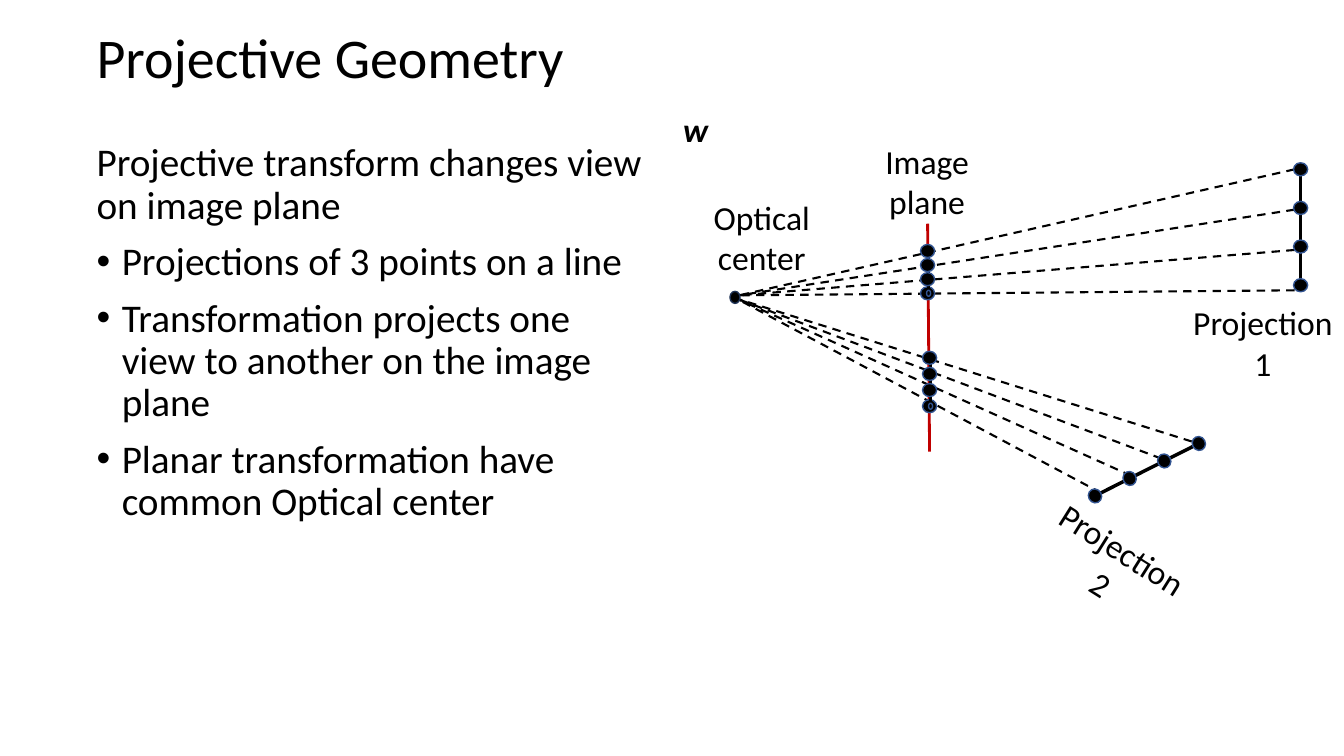
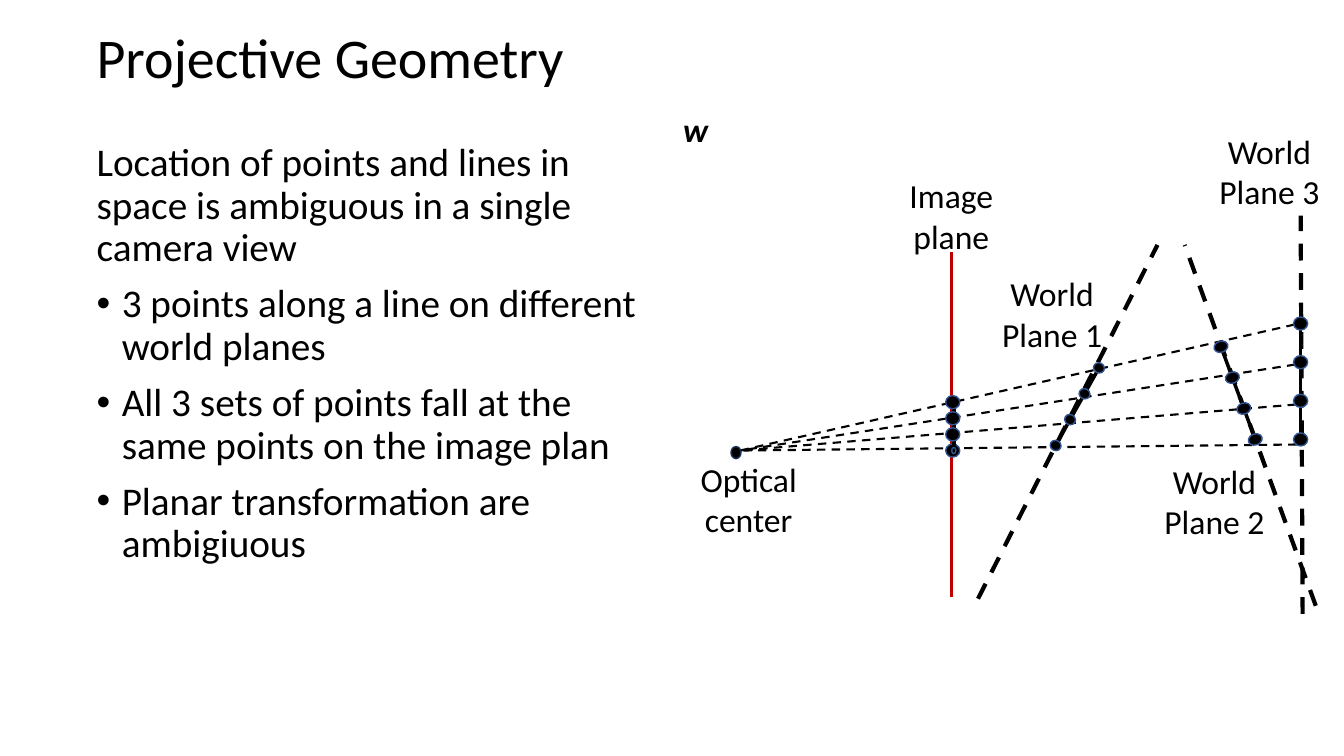
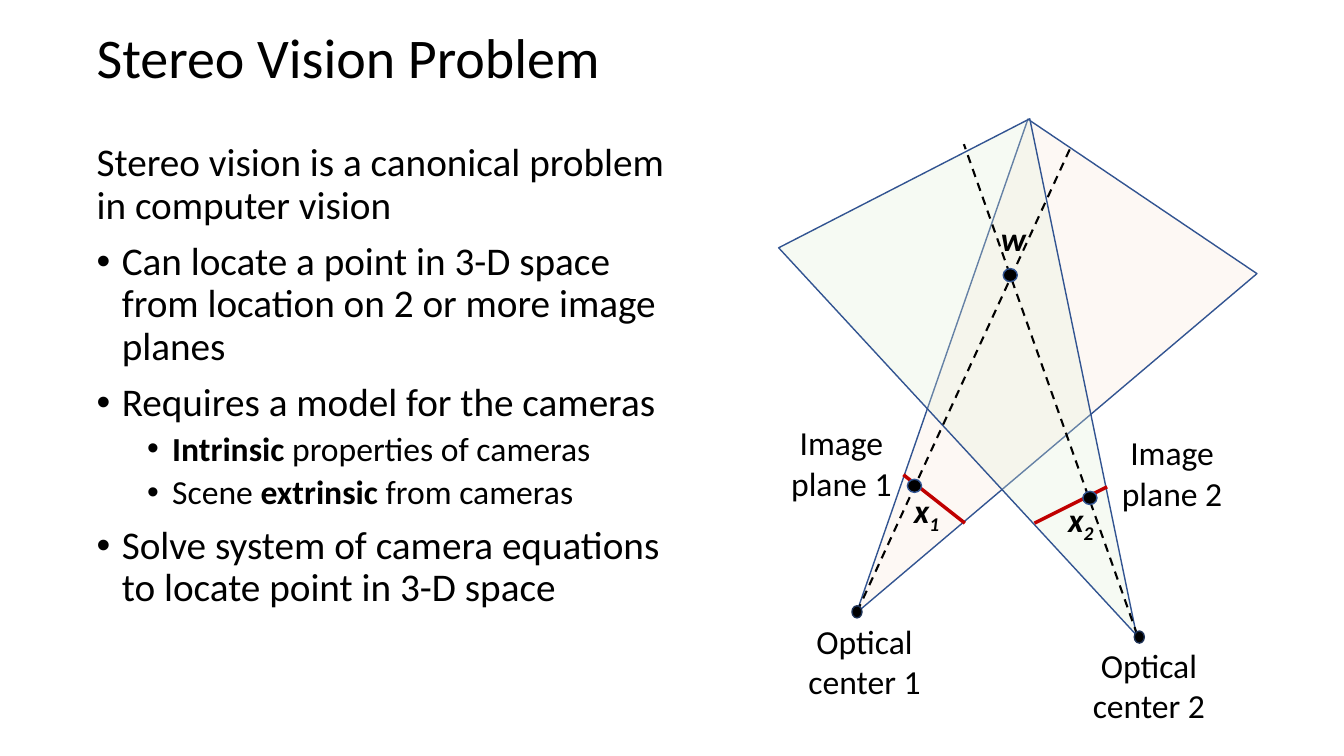
from lxml.etree import SubElement
from pptx import Presentation
from pptx.dml.color import RGBColor
from pptx.enum.dml import MSO_LINE
from pptx.enum.shapes import MSO_CONNECTOR, MSO_SHAPE
from pptx.enum.text import MSO_ANCHOR, PP_ALIGN
from pptx.oxml.ns import qn
from pptx.util import Inches, Pt

# Grid: 13.33 columns by 7.5 rows
COLUMNS, ROWS = 13.33, 7.5
CELL = Inches(1)

# Shared style
FONT = "Calibri"
BLACK = RGBColor(0x00, 0x00, 0x00)
RED = RGBColor(0xC0, 0x00, 0x00)
BLUE = RGBColor(0x32, 0x54, 0x91)
NAVY = RGBColor(0x1E, 0x32, 0x56)
PEACH = RGBColor(0xFB, 0xE5, 0xD6)
MINT = RGBColor(0xE2, 0xF0, 0xD9)
TITLE_BOX = (0.86, 0.12, 11.5, 0.95)
BODY_LEFT, BODY_TOP, BODY_HEIGHT = 0.86, 1.37, 5.69
DOT = (0.14, 0.13)
CENTER_DOT = (0.1, 0.12)
BEAD = (0.04, 0.06)
INTRO, BULLET, SUB_BULLET = range(3)


def cells(*lengths):
    return [round(length * CELL) for length in lengths]


def spread(first, last, count=4):
    """Evenly spaced points from first to last."""
    return [tuple(a + (b - a) * step / (count - 1) for a, b in zip(first, last))
            for step in range(count)]


# Text
def add_runs(para, text, *, size, bold=False, italic=False):
    """Asterisks enclose bold words; an underscore starts a subscript."""
    for number, piece in enumerate(text.split("*")):
        for depth, part in enumerate(piece.split("_")):
            if not part:
                continue
            span = para.add_run()
            span.text = part
            span.font.name, span.font.size = FONT, Pt(size)
            span.font.bold = bold or number % 2 == 1
            span.font.italic = italic
            span.font.color.rgb = BLACK
            if depth:
                span._r.get_or_add_rPr().set("baseline", "-25000")


def add_bullet(para, indent):
    properties = para._p.get_or_add_pPr()
    properties.set("marL", str(Inches(indent)))
    properties.set("indent", str(-Inches(0.25)))
    SubElement(properties, qn("a:buFont")).set("typeface", "Arial")
    SubElement(properties, qn("a:buChar")).set("char", "•")


def add_text(page, text, box, *, size=24, bold=False, italic=False, rotation=0,
             align=PP_ALIGN.CENTER, anchor=MSO_ANCHOR.TOP, spacing=None):
    """Text is a string, or a list of (level, line) pairs for a body."""
    shape = page.shapes.add_textbox(*cells(*box))
    shape.rotation = rotation
    frame = shape.text_frame
    frame.word_wrap = True
    frame.vertical_anchor = anchor
    lines = [(None, line) for line in text.split("\n")] if isinstance(text, str) else text
    for number, (level, line) in enumerate(lines):
        para = frame.add_paragraph() if number else frame.paragraphs[0]
        para.alignment = align
        if spacing:
            para.line_spacing = spacing
        if level is not None:
            para.space_before = Pt(5 if level == SUB_BULLET else 10)
        if level in (BULLET, SUB_BULLET):
            add_bullet(para, 0.75 if level == SUB_BULLET else 0.25)
        add_runs(para, line, size=24 if level == SUB_BULLET else size,
                 bold=bold, italic=italic)


def add_label(page, text, left, top, width=1.71, rotation=0):
    add_text(page, text, (left, top, width, 0.91), rotation=rotation)


def add_symbol(page, text, left, top):
    add_text(page, text, (left, top, 0.58, 0.5), bold=True, italic=True)


# Drawing
def add_line(page, start, end, width=1.5, color=BLACK, dashed=False):
    line = page.shapes.add_connector(MSO_CONNECTOR.STRAIGHT, *cells(*start, *end))
    line.line.color.rgb = color
    line.line.width = Pt(width)
    if dashed:
        line.line.dash_style = MSO_LINE.DASH
    SubElement(line._element.spPr, qn("a:effectLst"))


def add_figure(page, kind, box, fill, outline=BLUE, rotation=0):
    shape = page.shapes.add_shape(kind, *cells(*box))
    shape.shadow.inherit = False
    shape.rotation = rotation
    shape.fill.solid()
    shape.fill.fore_color.rgb = fill
    shape.line.color.rgb = outline
    shape.line.width = Pt(1)
    return shape


def add_dot(page, center, size=DOT, outline=BLUE, rotation=0):
    (x, y), (width, height) = center, size
    add_figure(page, MSO_SHAPE.OVAL, (x - width / 2, y - height / 2, width, height),
               BLACK, outline, rotation)


def add_view(page, box, fill, opacity, rotation, apex=0.5):
    view = add_figure(page, MSO_SHAPE.ISOSCELES_TRIANGLE, box, fill, rotation=rotation)
    view.adjustments[0] = apex
    color = view._element.spPr.find(qn("a:solidFill"))[0]
    SubElement(color, qn("a:alpha")).set("val", str(opacity * 1000))


def add_points(page, first, last, size=DOT, rotation=0):
    """Four dots joined by a thick line."""
    add_line(page, first, last, 2.5)
    for center in spread(first, last):
        add_dot(page, center, size, rotation=rotation)


def add_image_points(page, x, top, bottom):
    """Projected dots; small beads on a line lie over the lowest one."""
    *upper, lowest = spread((x, top), (x, bottom))
    add_dot(page, lowest)
    add_points(page, (x + 0.01, top), (x + 0.01, bottom), BEAD)
    for center in upper:
        add_dot(page, center)


def add_rays(page, center, first, last):
    for point in spread(first, last):
        add_line(page, point, center, dashed=True)


# Slides
def add_page(deck, title, body, body_width=5.63):
    page = deck.slides.add_slide(deck.slide_layouts[6])
    add_text(page, title, TITLE_BOX, size=40, align=PP_ALIGN.LEFT,
             anchor=MSO_ANCHOR.MIDDLE, spacing=0.9)
    add_text(page, body, (BODY_LEFT, BODY_TOP, body_width, BODY_HEIGHT), size=28,
             align=PP_ALIGN.LEFT, spacing=0.9)
    return page


def add_projection_page(deck):
    page = add_page(deck, "Projective Geometry", [
        (INTRO, "Projective transform changes view on image plane"),
        (BULLET, "Projections of 3 points on a line"),
        (BULLET, "Transformation projects one view to another on the image plane"),
        (BULLET, "Planar transformation have common Optical center"),
    ])
    add_symbol(page, "w", 6.61, 1.03)
    add_rays(page, (7.33, 2.93), (12.84, 1.68), (12.84, 2.88))
    add_rays(page, (7.3, 2.96), (11.82, 4.38), (10.92, 4.89))
    add_dot(page, (7.29, 2.95), CENTER_DOT, NAVY)
    add_points(page, (12.9, 1.68), (12.9, 2.83))
    add_points(page, (11.89, 4.4), (10.86, 4.92), rotation=63.3)
    add_line(page, (9.22, 4.48), (9.2, 2.22), 2, RED)
    add_image_points(page, 9.22, 3.55, 4.03)
    add_image_points(page, 9.2, 2.49, 2.91)
    add_label(page, "Optical center", 6.7, 1.9)
    add_label(page, "Image plane", 8.65, 1.35, 1.09)
    add_label(page, "Projection 1", 11.73, 2.95, 1.59)
    add_label(page, "Projection 2", 10.23, 5.17, 1.59, rotation=32.2)


def add_ambiguity_page(deck):
    page = add_page(deck, "Projective Geometry", [
        (INTRO, "Location of points and lines in space is ambiguous in a single camera view"),
        (BULLET, "3 points along a line on different world planes"),
        (BULLET, "All 3 sets of points fall at the same points on the image plan"),
        (BULLET, "Planar transformation are ambigiuous"),
    ])
    add_symbol(page, "w", 6.61, 1.03)
    add_line(page, (9.44, 5.92), (9.44, 2.5), 2, RED)
    add_rays(page, (7.34, 4.47), (12.84, 3.22), (12.86, 4.41))
    add_dot(page, (7.3, 4.49), CENTER_DOT, NAVY)
    # World planes
    for start, end in (((9.7, 5.94), (11.48, 2.43)),
                       ((13.05, 6.01), (11.75, 2.43)),
                       ((12.92, 6.09), (12.9, 2.14))):
        add_line(page, start, end, 3, dashed=True)
    add_points(page, (10.9, 3.65), (10.47, 4.42), (0.11, 0.1), 28.3)
    add_points(page, (12.11, 3.44), (12.45, 4.36), (0.14, 0.11), 339.9)
    add_points(page, (12.9, 3.21), (12.9, 4.36))
    add_image_points(page, 9.45, 3.99, 4.47)
    add_label(page, "Optical center", 6.57, 4.5)
    add_label(page, "Image plane", 8.89, 1.69, 1.09)
    add_label(page, "World\nPlane 1", 9.83, 2.66, 1.21)
    add_label(page, "World\nPlane 2", 11.19, 4.52)
    add_label(page, "World\nPlane 3", 11.88, 1.25, 1.42)


def add_stereo_page(deck):
    page = add_page(deck, "Stereo Vision Problem", [
        (INTRO, "Stereo vision is a canonical problem in computer vision"),
        (BULLET, "Can locate a point in 3-D space from location on 2 or more image planes"),
        (BULLET, "Requires a model for the cameras"),
        (SUB_BULLET, "*Intrinsic* properties of cameras"),
        (SUB_BULLET, "Scene *extrinsic* from cameras"),
        (BULLET, "Solve system of camera equations to locate point in 3-D space"),
    ], body_width=6.01)
    # Fields of view, image planes and sight lines
    add_view(page, (8.56, 1.52, 2.74, 5.01), PEACH, 25, 214, apex=0.515)
    add_view(page, (8.72, 1.54, 2.8, 5.04), MINT, 29, 152.8)
    add_line(page, (8.96, 4.71), (9.57, 5.19), 2.5, RED)
    add_line(page, (10.26, 5.19), (10.98, 4.83), 2.5, RED)
    add_line(page, (8.5, 6.07), (10.62, 1.46), dashed=True)
    add_line(page, (11.28, 6.3), (9.56, 1.43), dashed=True)
    for center in ((10.02, 2.73), (9.07, 4.82), (10.81, 4.94)):
        add_dot(page, center)
    for center in ((8.5, 6.07), (11.3, 6.32)):
        add_dot(page, center, CENTER_DOT, NAVY)
    add_symbol(page, "w", 9.76, 2.11)
    add_symbol(page, "x_1", 8.9, 4.81)
    add_symbol(page, "x_2", 10.43, 4.9)
    add_label(page, "Image plane 1", 7.49, 4.14)
    add_label(page, "Image plane 2", 10.77, 4.24)
    add_label(page, "Optical center 1", 7.72, 6.11)
    add_label(page, "Optical center 2", 10.54, 6.35)


def main():
    deck = Presentation()
    deck.slide_width, deck.slide_height = cells(COLUMNS, ROWS)
    add_projection_page(deck)
    add_ambiguity_page(deck)
    add_stereo_page(deck)
    deck.save("out.pptx")


if __name__ == "__main__":
    main()
